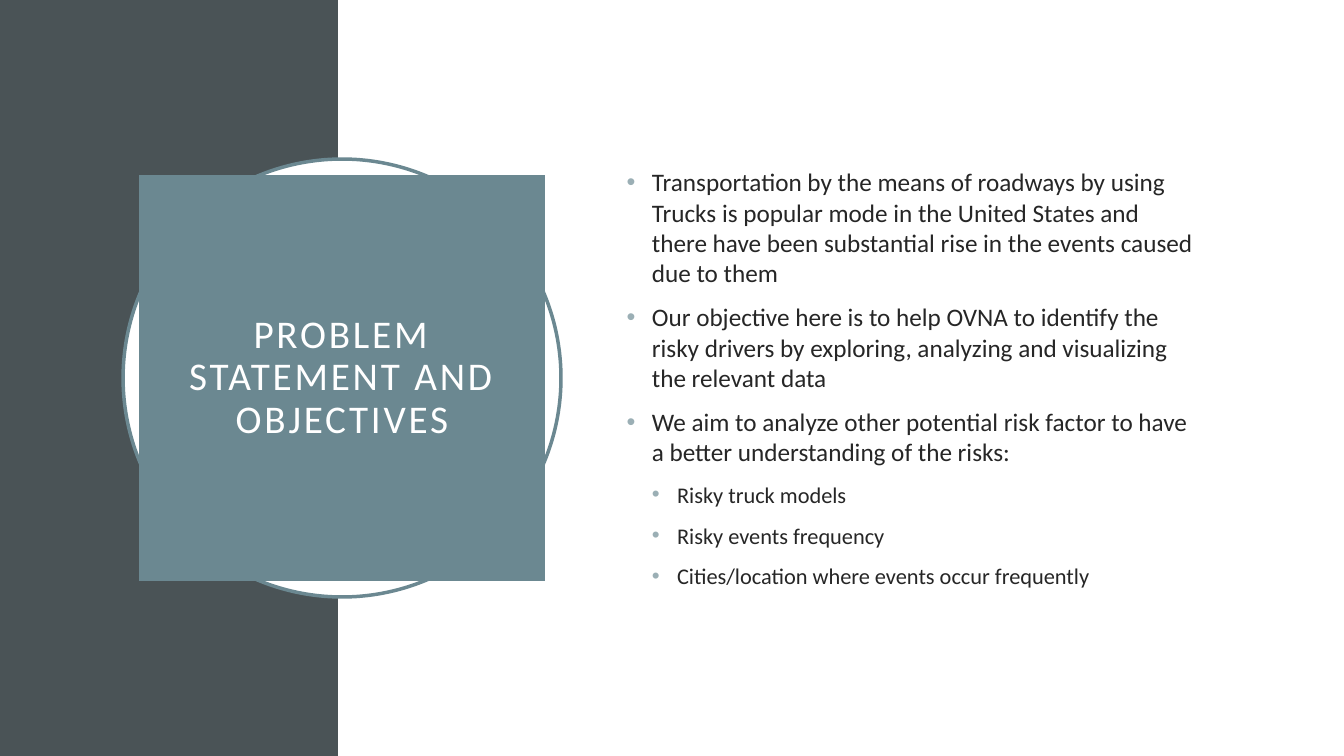
import pptx
import pptx.dml.color
import pptx.enum.shapes
import pptx.enum.text
import pptx.util
from lxml import etree
from pptx.oxml.ns import qn

Pt = pptx.util.Pt
RGBColor = pptx.dml.color.RGBColor
MSO_SHAPE = pptx.enum.shapes.MSO_SHAPE
MSO_ANCHOR = pptx.enum.text.MSO_ANCHOR
PP_ALIGN = pptx.enum.text.PP_ALIGN

TITLE = "PROBLEM STATEMENT AND OBJECTIVES"
BULLETS = [  # (level, text)
    (0, "Transportation by the means of roadways by using Trucks is popular mode in the "
        "United States and there have been substantial rise in the events caused due to them"),
    (0, "Our objective here is to help OVNA to identify the risky drivers by exploring, "
        "analyzing and visualizing the relevant data"),
    (0, "We aim to analyze other potential risk factor to have a better understanding of the risks:"),
    (1, "Risky truck models"),
    (1, "Risky events frequency"),
    (1, "Cities/location where events occur frequently"),
]

FONT = "Calibri"
WHITE = RGBColor(0xFF, 0xFF, 0xFF)
SLATE = RGBColor(0x4A, 0x53, 0x56)
TEAL = RGBColor(0x6B, 0x88, 0x91)
BULLET_GREY = RGBColor(0x9B, 0xAF, 0xB5)
TEXT_DARK = RGBColor(0x26, 0x26, 0x26)

SLIDE_WIDTH, SLIDE_HEIGHT = 960, 540
PANEL_WIDTH = 241.6
CENTER_X, CENTER_Y = 244.3, 270
RING_SIZE, TITLE_SIZE = 312.8, 290
TITLE_INSET = 14.4
BODY_BOX = (440.6, 110.4, 419.2, 319.2)
BODY_SIZES = (18, 16)
INDENT = 18


def add_block(slide, kind, left, top, width, height, fill, line=None):
    shape = slide.shapes.add_shape(kind, Pt(left), Pt(top), Pt(width), Pt(height))
    shape.shadow.inherit = False
    shape.fill.solid()
    shape.fill.fore_color.rgb = fill
    if line is None:
        shape.line.fill.background()
    else:
        shape.line.color.rgb = line
        shape.line.width = Pt(2.5)
    return shape


def add_centered(slide, kind, size, fill, line=None):
    """Add a square-sided shape around the shared centre of the title."""
    return add_block(slide, kind, CENTER_X - size / 2, CENTER_Y - size / 2,
                     size, size, fill, line)


def set_bullet(paragraph, level):
    properties = paragraph._p.get_or_add_pPr()
    properties.set("marL", str(Pt(INDENT * (level + 1))))
    properties.set("indent", str(-Pt(INDENT)))
    color = etree.SubElement(properties, qn("a:buClr"))
    etree.SubElement(color, qn("a:srgbClr"), val=str(BULLET_GREY))
    etree.SubElement(properties, qn("a:buFont"), typeface="Arial")
    etree.SubElement(properties, qn("a:buChar"), char="•")


def format_runs(paragraph, size, color):
    for run in paragraph.runs:
        run.font.name = FONT
        run.font.size = Pt(size)
        run.font.color.rgb = color


def add_title(slide):
    shape = add_centered(slide, MSO_SHAPE.RECTANGLE, TITLE_SIZE, TEAL)
    frame = shape.text_frame
    frame.word_wrap = True
    frame.vertical_anchor = MSO_ANCHOR.MIDDLE
    frame.margin_left = frame.margin_right = Pt(TITLE_INSET)
    frame.margin_top = frame.margin_bottom = Pt(TITLE_INSET)
    frame.text = TITLE
    paragraph = frame.paragraphs[0]
    paragraph.alignment = PP_ALIGN.CENTER
    paragraph.line_spacing = 0.9
    format_runs(paragraph, 28, WHITE)
    paragraph.runs[0].font._element.set("spc", "200")


def add_body(slide):
    frame = slide.shapes.add_textbox(*map(Pt, BODY_BOX)).text_frame
    frame.word_wrap = True
    frame.vertical_anchor = MSO_ANCHOR.MIDDLE
    for index, (level, text) in enumerate(BULLETS):
        paragraph = frame.add_paragraph() if index else frame.paragraphs[0]
        paragraph.text = text
        paragraph.level = level
        if index:
            paragraph.space_before = Pt(10)
        set_bullet(paragraph, level)
        format_runs(paragraph, BODY_SIZES[level], TEXT_DARK)


def main():
    presentation = pptx.Presentation()
    presentation.slide_width = Pt(SLIDE_WIDTH)
    presentation.slide_height = Pt(SLIDE_HEIGHT)
    slide = presentation.slides.add_slide(presentation.slide_layouts[6])
    add_block(slide, MSO_SHAPE.RECTANGLE, 0, 0, PANEL_WIDTH, SLIDE_HEIGHT, SLATE)
    add_block(slide, MSO_SHAPE.RECTANGLE, PANEL_WIDTH, 0,
              SLIDE_WIDTH - PANEL_WIDTH, SLIDE_HEIGHT, WHITE)
    add_centered(slide, MSO_SHAPE.OVAL, RING_SIZE, WHITE, TEAL)
    add_title(slide)
    add_body(slide)
    presentation.save("out.pptx")


if __name__ == "__main__":
    main()
